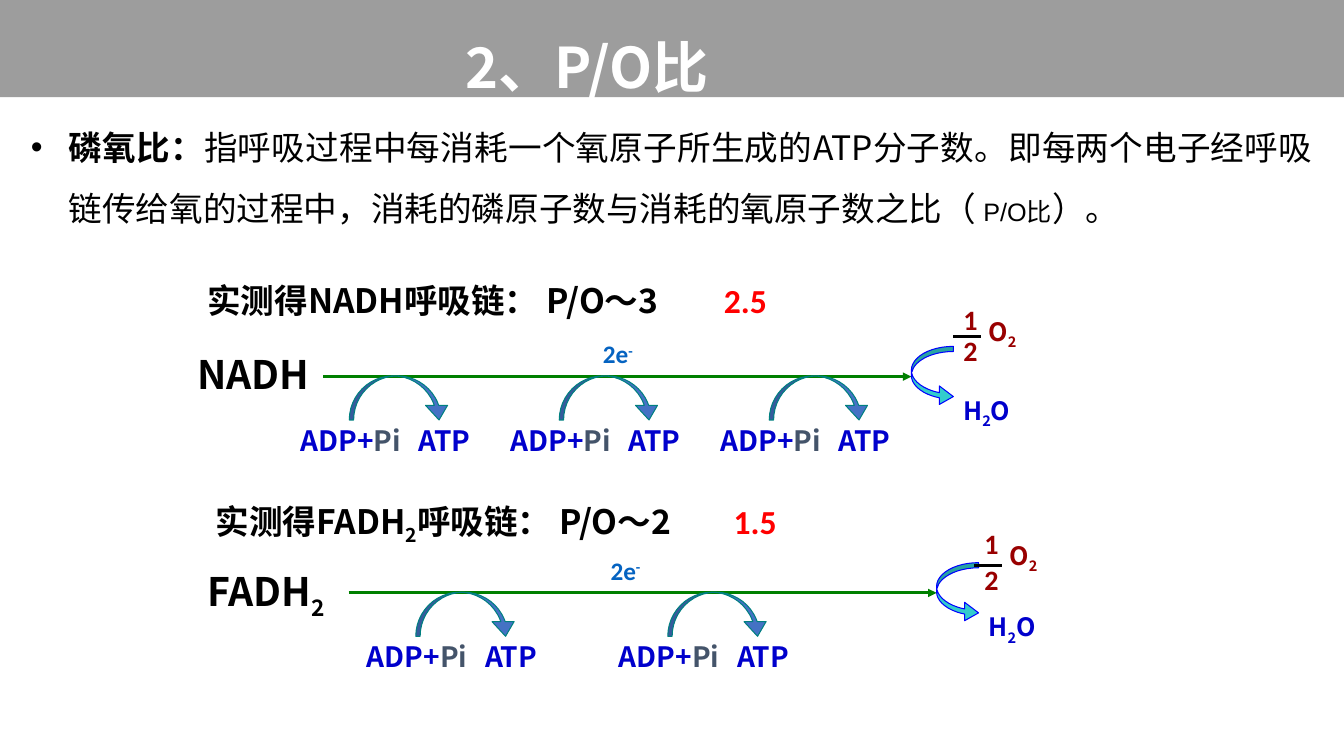
from dataclasses import dataclass

from lxml import etree
from pptx import Presentation
from pptx.dml.color import RGBColor
from pptx.enum.shapes import MSO_CONNECTOR, MSO_SHAPE
from pptx.enum.text import MSO_AUTO_SIZE, PP_ALIGN
from pptx.oxml.ns import qn
from pptx.util import Pt

RECT = MSO_SHAPE.RECTANGLE
HOOK = MSO_SHAPE.CURVED_RIGHT_ARROW
ARC = MSO_SHAPE.CURVED_DOWN_ARROW
STRAIGHT = MSO_CONNECTOR.STRAIGHT
GROW = MSO_AUTO_SIZE.SHAPE_TO_FIT_TEXT
LEFT, JUSTIFY = PP_ALIGN.LEFT, PP_ALIGN.JUSTIFY


@dataclass(frozen=True)
class Theme:
    """Fonts, colours and type sizes of the slide."""
    cjk: str = "Noto Sans CJK SC"
    number: str = "Calibri"
    plain: str = "Arial"
    black: str = "000000"
    white: str = "FFFFFF"
    bar: str = "262626"
    chain: str = "008000"
    product: str = "0000CC"
    phosphate: str = "44546A"
    oxygen: str = "990000"
    electron: str = "0563C1"
    measured: str = "FF0000"
    arc: str = "4472C4"
    arc_line: str = "008080"
    hook: str = "33CCCC"
    hook_line: str = "0000FF"
    title: int = 40
    name: int = 28
    body: int = 24
    label: int = 20
    small: int = 18


class SlideBuilder:
    """Draws the elements of one slide in a given theme."""

    def __init__(self, slide, theme):
        self.s = slide
        self.t = theme

    def run(self, p, text, size, color, font=None, bold=True, baseline=0):
        """Add one styled run to a paragraph."""
        r = p.add_run()
        r.text = text
        f = r.font
        f.name, f.size, f.bold = font or self.t.cjk, Pt(size), bold
        f.color.rgb = RGBColor.from_string(color)
        rPr = r._r.get_or_add_rPr()
        etree.SubElement(rPr, qn("a:ea")).set("typeface", font or self.t.cjk)
        if baseline:
            rPr.set("baseline", str(baseline * 1000))

    def text(self, x, y, w, h, runs, size, color, font=None, spacing=1.0, tab=None):
        """Add a text box whose runs are (text, changes) pairs."""
        tf = self.s.shapes.add_textbox(Pt(x), Pt(y), Pt(w), Pt(h)).text_frame
        tf.word_wrap, tf.auto_size = True, GROW
        p = tf.paragraphs[0]
        p.alignment, p.line_spacing = LEFT, spacing
        if tab:
            tabs = etree.SubElement(p._p.get_or_add_pPr(), qn("a:tabLst"))
            etree.SubElement(tabs, qn("a:tab"), pos=str(Pt(tab)), algn="l")
        for text, changes in runs:
            self.run(p, text, **{"size": size, "color": color, "font": font, **changes})

    def shape(self, kind, x, y, w, h, fill, line=None, adjust=(), opacity=None):
        """Add a filled preset shape."""
        sp = self.s.shapes.add_shape(kind, Pt(x), Pt(y), Pt(w), Pt(h))
        sp.shadow.inherit = False
        sp.fill.solid()
        sp.fill.fore_color.rgb = RGBColor.from_string(fill)
        if line:
            sp.line.color.rgb, sp.line.width = RGBColor.from_string(line), Pt(0.75)
        else:
            sp.line.fill.background()
        for i, value in enumerate(adjust):
            sp.adjustments[i] = value
        if opacity:
            clr = sp._element.spPr.find(".//" + qn("a:srgbClr"))
            etree.SubElement(clr, qn("a:alpha")).set("val", str(opacity * 1000))
        return sp

    def line(self, x, y, length, color, width, arrow=False):
        """Add a horizontal line, with an arrowhead if asked."""
        c = self.s.shapes.add_connector(STRAIGHT, Pt(x), Pt(y), Pt(x + length), Pt(y))
        c.line.color.rgb, c.line.width = RGBColor.from_string(color), Pt(width)
        if arrow:
            etree.SubElement(c.line._get_or_add_ln(), qn("a:tailEnd"), type="triangle")
        etree.SubElement(c._element.spPr, qn("a:effectLst"))

    def definition(self, x, y, w, h, runs):
        """Add the bulleted definition."""
        tf = self.shape(RECT, x, y, w, h, self.t.white).text_frame
        tf.word_wrap, tf.auto_size = True, GROW
        p = tf.paragraphs[0]
        p.alignment, p.line_spacing = JUSTIFY, 1.5
        pPr = p._p.get_or_add_pPr()
        pPr.set("marL", str(Pt(27)))
        pPr.set("indent", str(-Pt(27)))
        etree.SubElement(pPr, qn("a:buFont"), typeface=self.t.plain)
        etree.SubElement(pPr, qn("a:buChar"), char="•")
        for text, changes in runs:
            self.run(p, text, **{"size": self.t.body, "color": self.t.black, **changes})

    def synthesis(self, x, y):
        """Add one ADP to ATP step below the chain."""
        t = self.t
        self.text(x, y + 20.5, 150, 37.5,
                  [("ADP+", {}), ("Pi", {"color": t.phosphate}), ("\tATP", {})],
                  t.label, t.product, spacing=1.4, tab=84.5)
        self.shape(ARC, x + 42, y - 0.5, 72, 31.5, t.arc, t.arc_line, (0.1, 0.5, 0.333))

    def half_oxygen(self, x, y, bar):
        """Add the half O2 fraction with its bar at the given drop."""
        t = self.t
        self.text(x + 18, y, 72, 34.5, [("O", {}), ("2", {"baseline": -25})],
                  t.small, t.oxygen, spacing=1.4)
        for digit, top, w in (("1", y, 19.5), ("2", y + bar - 6, 32)):
            self.text(x, top, w, 31.5, [(digit, {})], t.label, t.oxygen, t.number)
        self.line(x, y + bar, 19.5, t.black, 2.25)

    def chain(self, x, y, donor, name_x, heading, heading_y, ratio, ratio_x,
              electron_x, steps, oxygen):
        """Add one respiratory chain with its heading and products."""
        t, end = self.t, x + 420
        self.text(name_x, y - 22, 120, 41, donor, t.name, t.black)
        self.line(x, y, 420, t.chain, 2, arrow=True)
        self.shape(HOOK, end, y - 21.6, 30, 42.5, t.hook, t.hook_line, (0.122, 0.442, 0.333))
        self.text(end + 30, y, 72, 34.5,
                  [("H", {}), ("2", {"baseline": -25}), ("O", {})],
                  t.small, t.product, spacing=1.4)
        self.text(x - 90 if len(steps) == 3 else x - 102, heading_y, 402, 36,
                  heading, t.body, t.black)
        self.text(ratio_x, heading_y, 68.5, 36, [(ratio, {})], t.body, t.measured, t.number)
        self.text(electron_x, y - 30.6, 48, 29, [("2e", {}), ("-", {"baseline": 30})],
                  t.small, t.electron, t.number)
        for step in steps:
            self.synthesis(step, y)
        self.half_oxygen(*oxygen)


def main():
    """Build the P/O ratio slide."""
    prs = Presentation()
    prs.slide_width, prs.slide_height = Pt(960), Pt(540)
    t = Theme()
    b = SlideBuilder(prs.slides.add_slide(prs.slide_layouts[6]), t)
    b.shape(RECT, -0.5, 0, 961, 69.5, t.bar, opacity=45)
    b.definition(15, 75, 929.5, 89, [
        ("磷氧比：", {}),
        ("指呼吸过程中每消耗一个氧原子所生成的ATP分子数。即每两个电子经呼吸链传给氧的过程中，"
         "消耗的磷原子数与消耗的氧原子数之比（ ", {"bold": False}),
        ("P/O比", {"size": t.small, "font": t.plain, "bold": False}),
        ("）。", {"bold": False})])
    b.chain(231, 269, [("NADH", {})], 134,
            [("实测得NADH呼吸链： P/O～3", {})], 196.5, "2.5", 510, 423.5,
            [207.5 + 150 * i for i in range(3)], (681, 212.5, 28))
    b.chain(249, 423.5, [("FADH", {}), ("2", {"baseline": -25})], 141,
            [("实测得FADH", {}), ("2", {"baseline": -25}), ("呼吸链： P/O～2", {})],
            354, "1.5", 517, 429, [255 + 180 * i for i in range(2)], (696, 372.5, 31.5))
    b.text(325.5, -4.5, 230, 71.5, [("2、P/O比", {})], t.title, t.white, spacing=1.5)
    prs.save("out.pptx")


if __name__ == "__main__":
    main()
